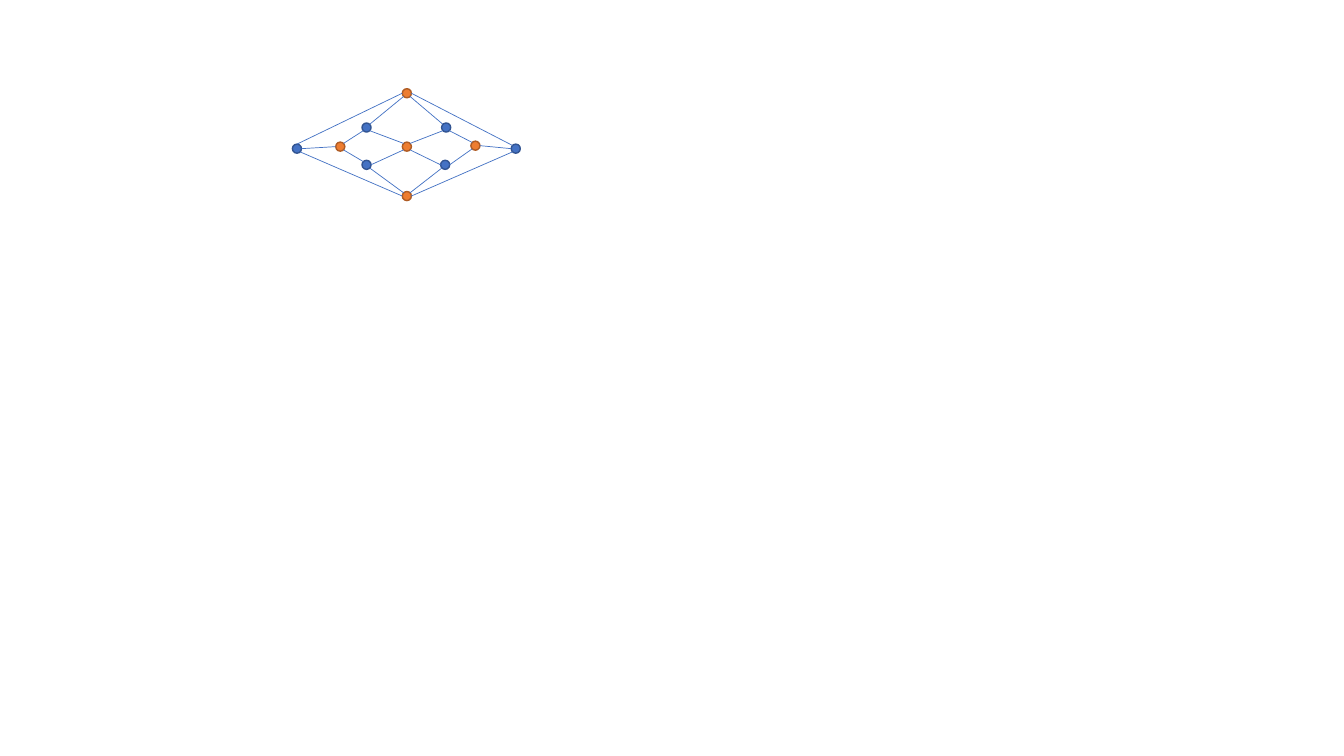
from math import sqrt

from pptx import Presentation
from pptx.dml.color import RGBColor
from pptx.enum.shapes import MSO_CONNECTOR as Connector, MSO_SHAPE as Shape
from pptx.oxml.ns import qn
from pptx.util import Inches, Pt
from lxml import etree

BLUE, BLUE_EDGE = RGBColor(0x44, 0x72, 0xC4), RGBColor(0x32, 0x54, 0x91)
ORANGE, ORANGE_EDGE = RGBColor(0xED, 0x7D, 0x31), RGBColor(0xAF, 0x5C, 0x24)

DOT = 0.09  # diameter of a vertex, in inches
COLOURS = {"blue": (BLUE, BLUE_EDGE), "orange": (ORANGE, ORANGE_EDGE)}

# Vertices: left and top within the graph's box, and colour class
VERTICES = {
    "top": (1.09, 0, "orange"),
    "left": (0, 0.55, "blue"),
    "right": (2.17, 0.55, "blue"),
    "upper left": (0.69, 0.34, "blue"),
    "upper right": (1.48, 0.34, "blue"),
    "inner left": (0.43, 0.53, "orange"),
    "centre": (1.09, 0.53, "orange"),
    "inner right": (1.77, 0.52, "orange"),
    "bottom": (1.09, 1.02, "orange"),
    "lower left": (0.69, 0.71, "blue"),
    "lower right": (1.47, 0.71, "blue"),
}

# Edges: each end is a vertex and the compass point where the edge meets it
EDGES = [
    ("inner left", "NE", "upper left", "SW"),
    ("lower left", "NW", "inner left", "SE"),
    ("upper left", "NE", "top", "SW"),
    ("left", "E", "inner left", "W"),
    ("centre", "NW", "upper left", "SE"),
    ("centre", "NE", "upper right", "SW"),
    ("upper right", "NW", "top", "SE"),
    ("left", "N", "top", "W"),
    ("lower left", "E", "centre", "SW"),
    ("centre", "SE", "lower right", "W"),
    ("lower right", "E", "inner right", "SW"),
    ("upper right", "SE", "inner right", "NW"),
    ("right", "NW", "top", "E"),
    ("inner right", "E", "right", "W"),
    ("bottom", "NW", "lower left", "SE"),
    ("bottom", "NE", "lower right", "SW"),
    ("bottom", "W", "left", "SE"),
    ("bottom", "E", "right", "SW"),
]


def rim_point(vertex, compass):
    """Point on a vertex's rim, within the graph's box."""
    left, top, _ = VERTICES[vertex]
    across = ("E" in compass) - ("W" in compass)
    down = ("S" in compass) - ("N" in compass)
    reach = DOT / 2 / sqrt(len(compass))
    return left + DOT / 2 + across * reach, top + DOT / 2 + down * reach


def set_line(item, colour, width):
    item.line.color.rgb = colour
    item.line.width = Pt(width)


def draw_graph(page, box_left, box_top):
    # Vertices
    for left, top, colour in VERTICES.values():
        dot = page.shapes.add_shape(Shape.OVAL, Inches(box_left + left), Inches(box_top + top),
                                    Inches(DOT), Inches(DOT))
        fill, edge_colour = COLOURS[colour]
        dot.shadow.inherit = False
        dot.fill.solid()
        dot.fill.fore_color.rgb = fill
        set_line(dot, edge_colour, 1)

    # Edges
    for start, start_side, end, end_side in EDGES:
        x1, y1 = rim_point(start, start_side)
        x2, y2 = rim_point(end, end_side)
        edge = page.shapes.add_connector(Connector.STRAIGHT,
                                         Inches(box_left + x1), Inches(box_top + y1),
                                         Inches(box_left + x2), Inches(box_top + y2))
        set_line(edge, BLUE, 0.5)
        etree.SubElement(edge._element.spPr, qn("a:effectLst"))


deck = Presentation()
deck.slide_width, deck.slide_height = Inches(13.33), Inches(7.5)
page = deck.slides.add_slide(deck.slide_layouts[6])
draw_graph(page, 2.9, 0.88)
deck.save("out.pptx")
